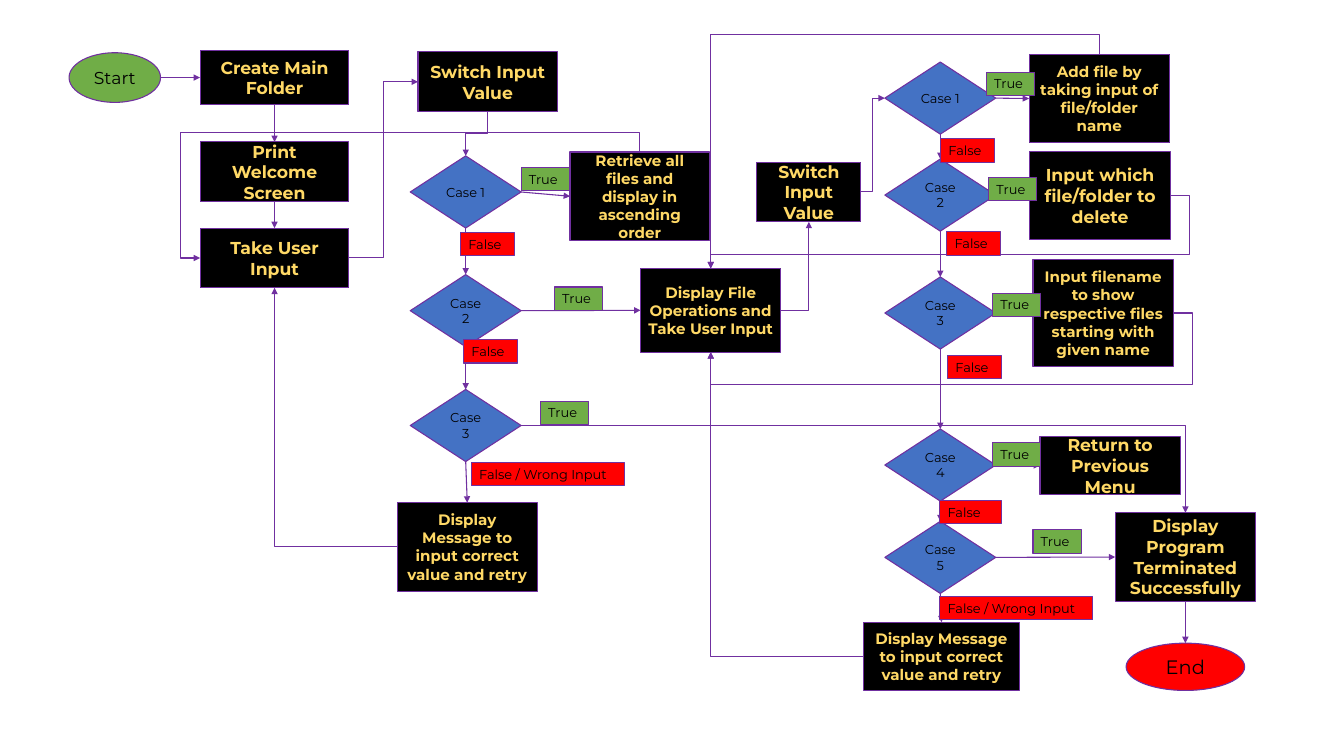
from functools import partial
from lxml import etree
from pptx import Presentation
from pptx.dml.color import RGBColor
from pptx.enum.shapes import MSO_CONNECTOR, MSO_SHAPE
from pptx.enum.text import MSO_ANCHOR, PP_ALIGN
from pptx.oxml.ns import qn
from pptx.util import Inches, Pt

RECT, STEP = MSO_SHAPE.RECTANGLE, MSO_SHAPE.FLOWCHART_PROCESS
CASE, OVAL = MSO_SHAPE.FLOWCHART_DECISION, MSO_SHAPE.OVAL
LINE, ELBOW = MSO_CONNECTOR.STRAIGHT, MSO_CONNECTOR.ELBOW
LEFT, CENTER = PP_ALIGN.LEFT, PP_ALIGN.CENTER
TOP, MIDDLE = MSO_ANCHOR.TOP, MSO_ANCHOR.MIDDLE
# Connection sites
T, L, B, R = range(4)

FONT = "Montserrat"
COLORS = {"black": "000000", "gold": "FFD966", "purple": "7030A0",
          "blue": "4472C4", "green": "70AD47", "red": "FF0000"}
WRONG = "False / Wrong Input"
RETRY = "Display Message to input correct value and retry"
TAGS = {"True": ("green", 0.62), "False": ("red", 0.69), WRONG: ("red", 1.97)}


def color(name):
    return RGBColor.from_string(COLORS[name])


def write(shape, text, size=12, tint="black", bold=False, align=CENTER,
          anchor=MIDDLE):
    frame = shape.text_frame
    frame.word_wrap = True
    frame.vertical_anchor = anchor
    frame.text = text
    for para in frame.paragraphs:
        para.alignment = align
        font = para.runs[0].font
        font.name, font.size, font.bold = FONT, Pt(size), bold
        font.color.rgb = color(tint)


def node(slide, box, kind, x, y, w, h, text, fill="black", **style):
    """Add a filled shape, placed from the corner of its region."""
    shape = slide.shapes.add_shape(kind, Inches(box[0] + x), Inches(box[1] + y),
                                   Inches(w), Inches(h))
    shape.shadow.inherit = False
    shape.fill.solid()
    shape.fill.fore_color.rgb = color(fill)
    shape.line.color.rgb = color("purple")
    shape.line.width = Pt(1)
    write(shape, text, **style)
    return shape


def tag(slide, box, x, y, text, w=None):
    fill, width = TAGS[text]
    shape = node(slide, box, RECT, x, y, w or width, 0.3, text, fill,
                 align=LEFT, anchor=TOP)
    shape.text_frame.margin_right = 0


def site(shape, side):
    x = shape.left + shape.width * {L: 0, R: 2}.get(side, 1) // 2
    y = shape.top + shape.height * {T: 0, B: 2}.get(side, 1) // 2
    return x, y


def link(slide, start, out, end, into, kind=LINE):
    """Join two shapes with an arrow."""
    arrow = slide.shapes.add_connector(kind, *site(start, out), *site(end, into))
    # An oval numbers its right site differently, so that end stays free
    if (start.auto_shape_type, out) != (OVAL, R):
        arrow.begin_connect(start, out)
    arrow.end_connect(end, into)
    arrow.line.color.rgb = color("purple")
    arrow.line.width = Pt(1)
    props = arrow.element.spPr
    etree.SubElement(props.find(qn("a:ln")), qn("a:tailEnd"), type="triangle")
    etree.SubElement(props, qn("a:effectLst"))
    return arrow


def route(slide, start, out, end, into, *lanes):
    """Bent arrow; the first lane is measured from the start, the second from the end."""
    arrow = link(slide, start, out, end, into, ELBOW)
    (x1, y1), (x2, y2) = site(start, out), site(end, into)
    dx, dy = x2 - x1, y2 - y1
    upright = out in (T, B)
    run, rise = (dy, -dx) if upright else (dx, dy)
    wide, high = abs(run), abs(rise)
    turn, fliph, flipv = 90 * upright, run < 0, rise < 0
    ratios = [Inches(lane) / run for lane in lanes[:1]]
    ratios += [1 + Inches(lane) / (dx if upright else dy) for lane in lanes[1:]]
    if (fliph and flipv) or (upright and ratios[0] < 0):
        turn, fliph, flipv = turn + 180, not fliph, not flipv
    arrow.left, arrow.top = (x1 + x2 - wide) // 2, (y1 + y2 - high) // 2
    arrow.width, arrow.height = wide, high
    form = arrow.element.spPr.find(qn("a:xfrm"))
    form.rot, form.flipH, form.flipV = turn, fliph, flipv
    shape = arrow.element.spPr.find(qn("a:prstGeom"))
    shape.set("prst", f"bentConnector{2 + len(lanes)}")
    for i, ratio in enumerate(ratios, 1):
        etree.SubElement(shape.find(qn("a:avLst")), qn("a:gd"), name=f"adj{i}",
                         fmla=f"val {round(ratio * 100000)}")


def cases(add, x, tops):
    return [add(CASE, x, y, 1.43, 0.93, f"Case {i}", "blue")
            for i, y in enumerate(tops, 1)]


def menu(slide, box):
    """Main menu: start, input and three cases."""
    add, join = partial(node, slide, box), partial(link, slide)
    bend = partial(route, slide)
    big = {"size": 16, "tint": "gold", "bold": True}
    small = {**big, "size": 14}

    # Steps
    start = add(OVAL, 0.39, 0.18, 1.18, 0.64, "Start", "green", size=16)
    make = add(RECT, 2.08, 0.15, 1.92, 0.7, "Create Main Folder", **big)
    hello = add(RECT, 2.08, 1.33, 1.92, 0.77, "Print Welcome Screen", **big)
    take = add(RECT, 2.08, 2.44, 1.92, 0.77, "Take User Input", **big)
    switch = add(RECT, 4.89, 0.17, 1.8, 0.77, "Switch Input\nValue", **big)
    one, two, three = cases(add, 4.79, (1.51, 3.04, 4.52))
    show = add(STEP, 6.85, 1.46, 1.8, 1.14,
               "Retrieve all files and display in ascending order", **small)
    retry = add(STEP, 4.62, 5.98, 1.81, 1.14, RETRY, **small)
    files = add(STEP, 7.76, 2.96, 1.81, 1.08,
                "Display File Operations and Take User Input", **small)

    # Arrows
    join(start, R, make, L)
    for upper, lower in ((make, hello), (hello, take), (one, two),
                         (two, three), (three, retry)):
        join(upper, B, lower, T)
    join(one, R, show, L)
    join(two, R, files, L)
    bend(take, R, switch, L, 0.44)
    bend(switch, B, one, T, 0.28)
    bend(retry, L, take, B)
    bend(show, T, take, L, -0.25, -0.25)

    # Answers
    for spot in ((6.22, 1.66, "True"), (6.65, 3.2, "True"), (6.47, 4.67, "True"),
                 (5.44, 2.5, "False"), (5.48, 3.88, "False"), (5.58, 5.46, WRONG)):
        tag(slide, box, *spot)
    return files, three


def opts(slide, box, files, quit):
    """File operations: five cases and the way out."""
    add, join = partial(node, slide, box), partial(link, slide)
    bend = partial(route, slide)
    big = {"size": 16, "tint": "gold", "bold": True}
    small = {**big, "size": 14}

    # Steps
    switch = add(RECT, 0.26, 1.59, 1.34, 0.77, "Switch Input\nValue", **big)
    forks = cases(add, 1.91, (0.3, 1.55, 3.07, 5.03, 6.22))
    new = add(STEP, 3.77, 0.2, 1.81, 1.14,
              "Add file by taking input of file/folder name", **small)
    drop = add(STEP, 3.78, 1.45, 1.81, 1.14,
               "Input which file/folder to delete", **big)
    find = add(STEP, 3.82, 2.85, 1.81, 1.37, "Input filename to show "
               "respective files starting with given name", **small)
    back = add(STEP, 3.91, 5.13, 1.81, 0.74, "Return to Previous Menu", **big)
    done = add(STEP, 4.88, 6.11, 1.81, 1.14,
               "Display Program Terminated Successfully", **big)
    end = add(OVAL, 5.02, 7.79, 1.53, 0.61, "End", "red", size=18)
    retry = add(STEP, 1.64, 7.52, 2, 0.88, RETRY, **small)

    # Arrows
    for upper, lower in zip(forks, forks[1:] + [retry]):
        join(upper, B, lower, T)
    for fork, step in ((forks[0], new), (forks[3], back), (forks[4], done)):
        join(fork, R, step, L)
    join(done, B, end, T)
    bend(quit, R, done, T)
    bend(files, R, switch, B)
    bend(switch, R, forks[0], L, 0.15)
    bend(retry, L, files, B)
    bend(find, R, files, B, 0.25, 0.42)
    bend(drop, R, files, T, 0.25, -0.18)
    bend(new, T, files, T, -0.25)

    # Answers
    for spot in ((3.22, 0.43, "True"), (3.25, 1.79, "True"), (3.3, 3.28, "True"),
                 (3.3, 5.21, "True"), (3.82, 6.33, "True"),
                 (2.63, 1.29, "False"), (2.71, 2.49, "False"),
                 (2.72, 4.08, "False"), (2.62, 5.95, "False", 0.79),
                 (2.62, 7.19, WRONG)):
        tag(slide, box, *spot)


deck = Presentation()
deck.slide_width, deck.slide_height = Inches(17.33), Inches(9.5)
page = deck.slides.add_slide(deck.slide_layouts[6])
files, quit_case = menu(page, (0.5, 0.5))
opts(page, (9.5, 0.5), files, quit_case)
deck.save("out.pptx")
